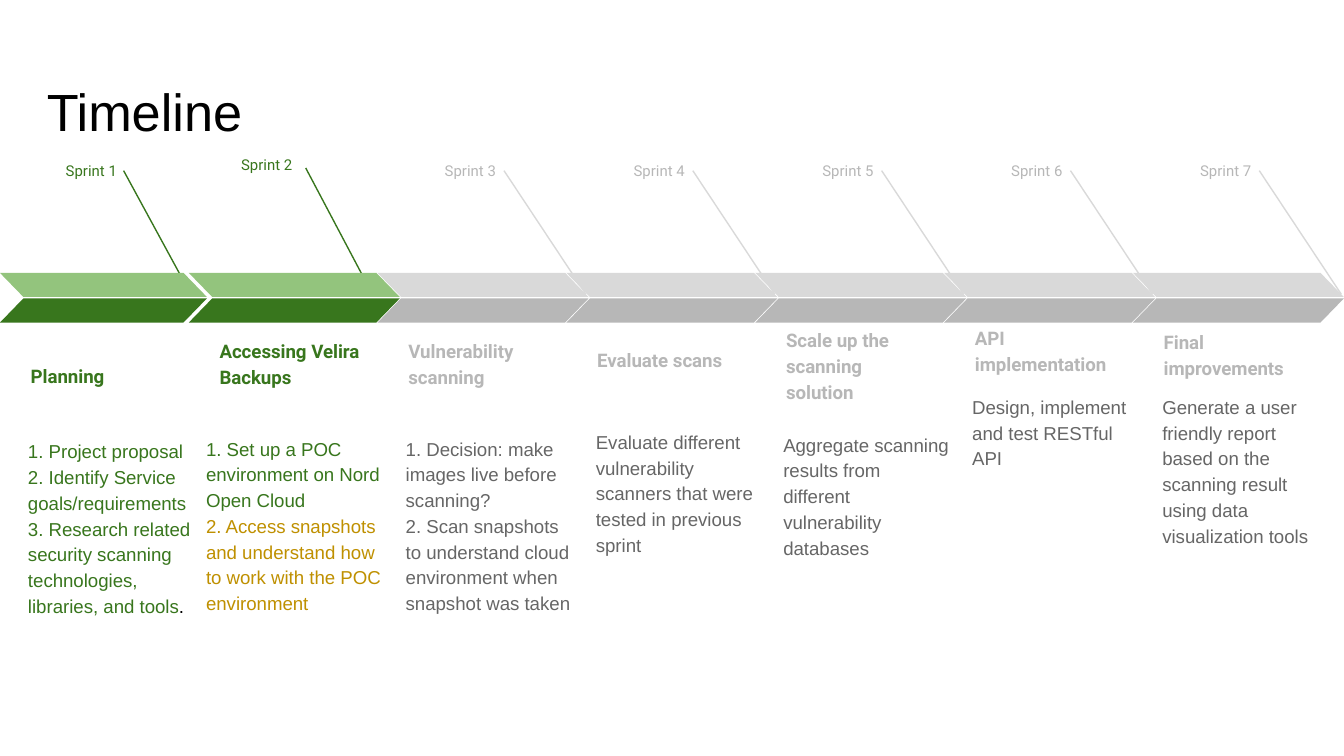
from dataclasses import dataclass

from lxml.etree import SubElement
from pptx import Presentation
from pptx.dml.color import RGBColor
from pptx.enum.shapes import MSO_CONNECTOR as CONN, MSO_SHAPE as SHAPE
from pptx.enum.text import MSO_ANCHOR as ANCHOR, PP_ALIGN as ALIGN
from pptx.oxml.ns import qn
from pptx.util import Inches, Pt

COLORS = {
    "black": "000000", "green": "38761D", "light_green": "93C47D", "gold": "BF9000",
    "gray": "B7B7B7", "light_gray": "D9D9D9", "dark_gray": "666666",
}
ACTIVE = {"text": "green", "line": "green", "top": "light_green", "bottom": "green"}
PLANNED = {"text": "gray", "line": "light_gray", "top": "light_gray", "bottom": "gray"}

FORMATS = {
    "title": {"name": "Arial", "size": Pt(28)},
    "label": {"name": "Roboto", "size": Pt(8)},
    "heading": {"name": "Roboto", "size": Pt(10), "bold": True},
    "body": {"name": "Arial", "size": Pt(10)},
}
SLIDE_WIDTH = 10
SLIDE_HEIGHT = SLIDE_WIDTH * 9 / 16
BAND_WIDTH, BAND_HEIGHT = 1.57, 0.18


@dataclass
class Sprint:
    heading: str
    body: list           # paragraphs, each a list of (text, colour) runs
    heading_box: tuple   # left offset, top, width, height
    body_box: tuple
    style: dict
    label_box: tuple = (0.24, 1.11, 0.74, 0.3)
    line: tuple = (0.94, 1.27, 1.55, 2.19)
    band_width: float = BAND_WIDTH


SPRINTS = [
    Sprint("Planning",
           [[("1. Project proposal", "green")],
            [("2. Identify Service goals/requirements", "green")],
            [("3. Research related security scanning technologies, libraries, and tools", "green"),
             (".", "black")]],
           (0.13, 2.68, 1.27, 0.3), (0.11, 3.15, 1.42, 2.48), ACTIVE,
           (0.27, 1.11, 0.7, 0.3), (0.92, 1.27, 1.42, 2.19), 1.54),
    Sprint("Accessing Velira Backups",
           [[("1. Set up a POC environment on Nord Open Cloud", "green")],
            [("2. Access snapshots and understand how to work with the POC environment", "gold")]],
           (0.13, 2.6, 1.29, 0.39), (0.03, 3.13, 1.54, 2.47), ACTIVE,
           (0.13, 1.06, 0.74, 0.3), (0.87, 1.25, 1.34, 2.14)),
    Sprint("Vulnerability scanning",
           [[("1. Decision: make images live before scanning?", "dark_gray")],
            [("2. Scan snapshots to understand cloud environment when snapshot was taken",
              "dark_gray")]],
           (0.13, 2.6, 1.29, 0.39), (0.11, 3.13, 1.45, 2.47), PLANNED),
    Sprint("Evaluate scans",
           [[("Evaluate different vulnerability scanners that were tested in previous sprint",
              "dark_gray")]],
           (0.13, 2.6, 1.29, 0.26), (0.12, 3.08, 1.44, 2.51), PLANNED),
    Sprint("Scale up the scanning solution",
           [[("Aggregate scanning results from different vulnerability databases", "dark_gray")]],
           (0.13, 2.68, 1.29, 0.42), (0.11, 3.1, 1.44, 2.25), PLANNED),
    Sprint("API implementation",
           [[("Design, implement and test RESTful API", "dark_gray")]],
           (0.13, 2.52, 1.29, 0.37), (0.11, 2.82, 1.45, 2.78), PLANNED),
    Sprint("Final improvements",
           [[("Generate a user friendly report based on the scanning result using data "
              "visualization tools", "dark_gray")]],
           (0.13, 2.52, 1.29, 0.4), (0.12, 2.82, 1.44, 2.78), PLANNED),
]
# Arrows share the slide width, the last one ending at its right edge
PITCH = (SLIDE_WIDTH - BAND_WIDTH) / (len(SPRINTS) - 1)


def rgb(name):
    return RGBColor.from_string(COLORS[name])


def add_text(shapes, box, paragraphs, kind, anchor=ANCHOR.TOP, **paragraph_format):
    tf = shapes.add_textbox(*map(Inches, box)).text_frame
    frame_format = {"word_wrap": True, "vertical_anchor": anchor}
    frame_format.update((f"margin_{side}", Inches(0.1))
                        for side in ("left", "top", "right", "bottom"))
    for key, value in frame_format.items():
        setattr(tf, key, value)
    for i, runs in enumerate(paragraphs):
        p = tf.add_paragraph() if i else tf.paragraphs[0]
        for key, value in paragraph_format.items():
            setattr(p, key, value)
        for text, color in runs:
            r = p.add_run()
            r.text = text
            for key, value in FORMATS[kind].items():
                setattr(r.font, key, value)
            r.font.color.rgb = rgb(color)


def add_band(shapes, box, color, flip=False):
    sp = shapes.add_shape(SHAPE.PARALLELOGRAM, *map(Inches, box))
    sp.shadow.inherit = False
    sp.adjustments[0] = 0.97
    sp.fill.solid()
    sp.fill.fore_color.rgb = rgb(color)
    sp.line.fill.background()
    if flip:
        sp._element.spPr.find(qn("a:xfrm")).set("flipH", "1")


def add_leader(shapes, ends, color):
    line = shapes.add_connector(CONN.STRAIGHT, *map(Inches, ends))
    line.line.color.rgb = rgb(color)
    line.line.width = Pt(0.75)
    SubElement(line._element.spPr, qn("a:effectLst"))


def add_sprint(slide, left, number, sprint):
    shapes = slide.shapes.add_group_shape().shapes
    style = sprint.style

    def place(box):
        return (left + box[0], *box[1:])

    # Label, heading and description
    add_text(shapes, place(sprint.label_box), [[(f"Sprint {number}", style["text"])]],
             "label", alignment=ALIGN.RIGHT, line_spacing=1.15, space_after=Pt(16))
    add_text(shapes, place(sprint.heading_box), [[(sprint.heading, style["text"])]],
             "heading", ANCHOR.BOTTOM, line_spacing=1.15)
    add_text(shapes, place(sprint.body_box), sprint.body, "body", line_spacing=1.15)

    # Leader line down to the arrow
    x1, y1, x2, y2 = sprint.line
    add_leader(shapes, (left + x1, y1, left + x2, y2), style["line"])

    # Two mirrored halves of the arrow
    add_band(shapes, (left, 2.03, sprint.band_width, BAND_HEIGHT), style["top"], flip=True)
    add_band(shapes, (left, 2.22, sprint.band_width, BAND_HEIGHT), style["bottom"])


def main():
    prs = Presentation()
    prs.slide_width, prs.slide_height = Inches(SLIDE_WIDTH), Inches(SLIDE_HEIGHT)
    slide = prs.slides.add_slide(prs.slide_layouts[6])
    add_text(slide.shapes, (0.25, 0.49, 9.46, 0.63), [[("Timeline", "black")]], "title")
    for i, sprint in enumerate(SPRINTS):
        add_sprint(slide, i * PITCH, i + 1, sprint)
    prs.save("out.pptx")


if __name__ == "__main__":
    main()
